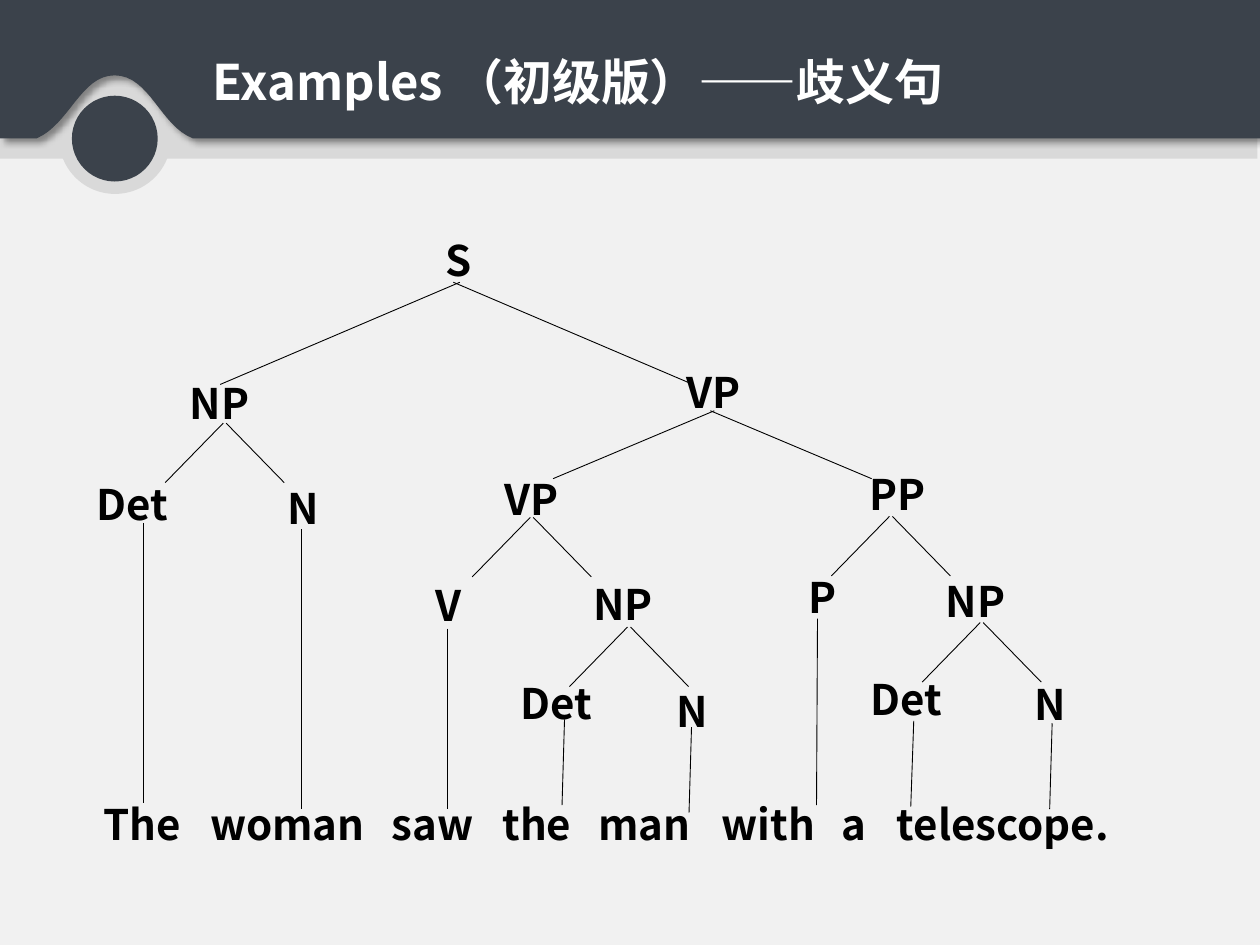
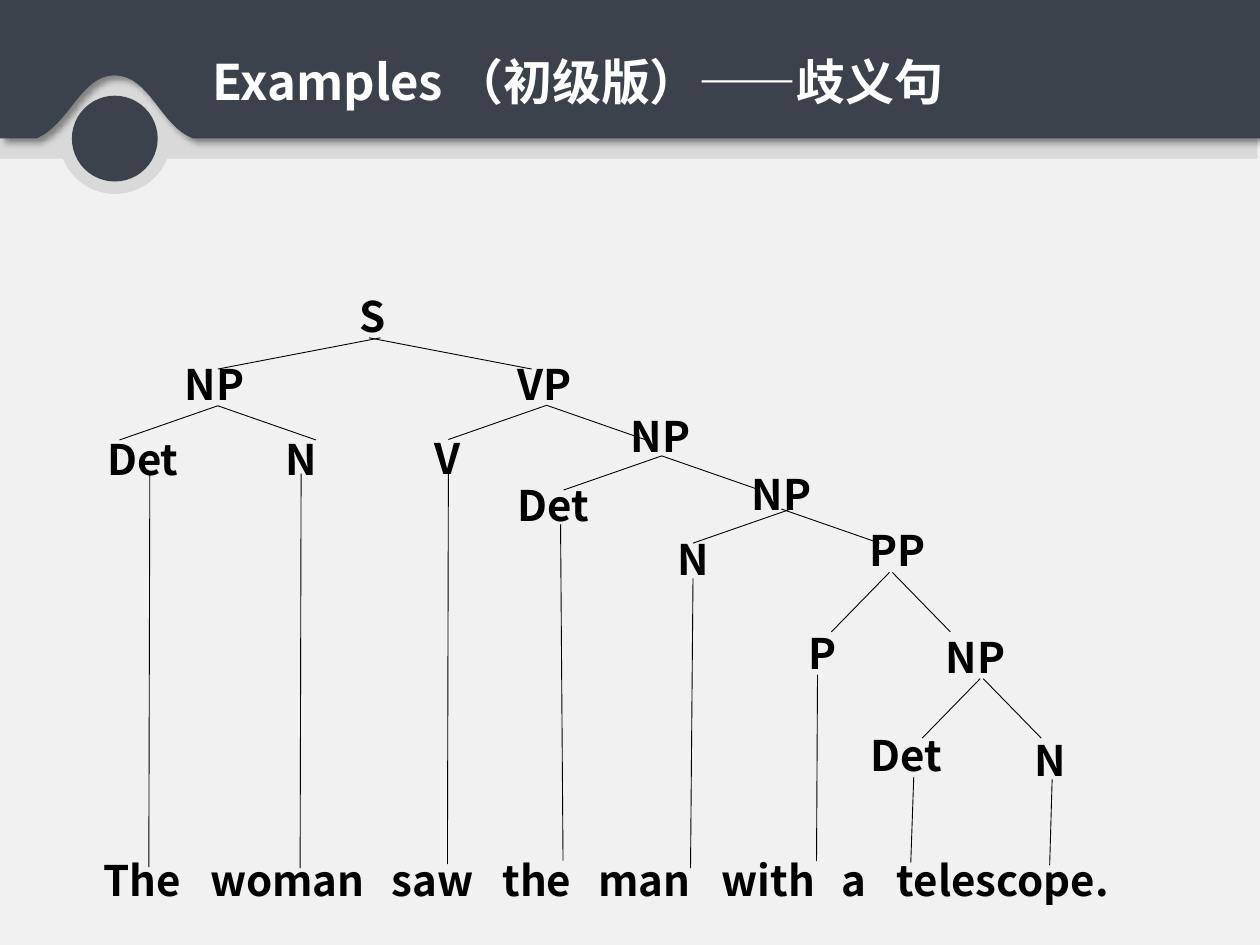
from lxml import etree
from pptx import Presentation
from pptx.dml.color import RGBColor
from pptx.enum import shapes, text
from pptx.oxml import ns
from pptx.util import Cm, Pt

SLATE = RGBColor(0x3B, 0x42, 0x4B)
SILVER = RGBColor(0xD9, 0xD9, 0xD9)
PAPER = RGBColor(0xF1, 0xF1, 0xF1)
WHITE = RGBColor(0xFF, 0xFF, 0xFF)
BLACK = RGBColor(0, 0, 0)

TITLE = "Examples （初级版）——歧义句"
WORDS = ["The", "woman", "saw", "the", "man", "with", "a", "telescope."]
WORD_STOPS = [2.16, 5.82, 8.05, 9.98, 12.47, 14.88, 16]
SENTENCE_TOP = 15.98
DROP = 1.13

# Lengths are centimetres. Labels: name, left, top. Forks: apex x, apex y,
# reach, depth, gap between the two branch tops. Stems: x1, y1, x2, y2.
STEEP = (1.17, 1.2, 0.06)
SHALLOW = (1.98, 0.69)

PREPOSITION_PHRASE = {
    "labels": [("PP", 17.27, 9.32), ("P", 16.05, 11.4), ("NP", 18.82, 11.48),
               ("Det", 17.3, 13.46), ("N", 20.6, 13.56)],
    "forks": [(17.93, 10.41, *STEEP), (19.76, 12.55, *STEEP)],
    "stems": [(16.48, 12.47, 16.46, 16.23), (18.42, 14.53, 18.36, 16.26),
              (21.21, 14.58, 21.16, 16.31)],
}
SEEN_WITH_TELESCOPE = {
    "labels": [("S", 8.74, 4.6), ("NP", 3.58, 7.49), ("Det", 1.7, 9.53),
               ("N", 5.54, 9.6), ("VP", 13.59, 7.26), ("VP", 9.93, 9.42),
               ("V", 8.53, 11.56), ("NP", 11.71, 11.53),
               ("Det", 10.24, 13.54), ("N", 13.39, 13.69)],
    "forks": [(9.27, 5.69, 4.83, 2.06, -0.13), (4.5, 8.53, *STEEP),
              (14.4, 8.28, 3.25, 1.37, -0.08), (10.69, 10.43, *STEEP),
              (12.65, 12.64, *STEEP)],
    "stems": [(2.9, 10.54, 2.9, 16.18), (6.07, 10.67, 6.07, 16.31),
              (9.02, 12.67, 9.02, 16.31), (11.38, 14.5, 11.33, 16.23),
              (13.94, 14.66, 13.89, 16.38)],
}
MAN_WITH_TELESCOPE = {
    "labels": [("S", 6.99, 5.74), ("NP", 3.48, 7.11), ("Det", 1.91, 8.61),
               ("N", 5.51, 8.61), ("VP", 10.19, 7.11), ("V", 8.51, 8.59),
               ("NP", 12.47, 8.15), ("Det", 10.19, 9.55),
               ("NP", 14.91, 9.32), ("N", 13.41, 10.64)],
    "forks": [(7.67, 6.81, 3.28, 0.63, -0.23), (4.39, 8.18, *SHALLOW, 0),
              (11.02, 8.17, *SHALLOW, 0), (13.34, 9.19, *SHALLOW, 0),
              (15.95, 10.26, *SHALLOW, -0.2)],
    "stems": [(3.02, 9.55, 3, 17.48), (6.07, 9.55, 6.05, 17.5),
              (9.04, 9.47, 9.02, 17.42), (11.3, 10.57, 11.35, 17.35),
              (13.97, 11.66, 13.92, 17.5)],
}


def add_element(parent, tag, **attributes):
    return etree.SubElement(parent, ns.qn(tag), attributes)


def write(box, content, size=24, color=BLACK, bold=True, wrap=True,
          font="Noto Sans CJK SC", stops=()):
    frame = box.text_frame
    frame.word_wrap = wrap
    frame.auto_size = text.MSO_AUTO_SIZE.SHAPE_TO_FIT_TEXT
    para = frame.paragraphs[0]
    if stops:
        tabs = add_element(para._p.get_or_add_pPr(), "a:tabLst")
        for stop in stops:
            add_element(tabs, "a:tab", pos=str(Cm(stop)), algn="l")
    span = para.add_run()
    span.text = content
    span.font.size = Pt(size)
    span.font.bold = bold
    span.font.name = font
    span.font.color.rgb = color
    add_element(span._r.get_or_add_rPr(), "a:ea", typeface=font)


def curve(start, first, second, end, steps=16):
    points = []
    for step in range(1, steps + 1):
        t = step / steps
        weights = ((1 - t) ** 3, 3 * t * (1 - t) ** 2, 3 * t * t * (1 - t), t ** 3)
        corners = (start, first, second, end)
        points.append(tuple(sum(w * c[axis] for w, c in zip(weights, corners))
                            for axis in (0, 1)))
    return points


class TreeDeck:
    """Syntax tree slides with one shared look."""

    def __init__(self):
        self.deck = Presentation()
        self.deck.slide_width, self.deck.slide_height = Cm(25.4), Cm(19.05)
        self.page = None

    def start_page(self):
        self.page = self.deck.slides.add_slide(self.deck.slide_layouts[6])
        self.page.background.fill.solid()
        self.page.background.fill.fore_color.rgb = PAPER
        self.shape(shapes.MSO_SHAPE.OVAL, 1.19, 1.65, 2.26, 2.26, SILVER)
        self.shape(shapes.MSO_SHAPE.RECTANGLE, 0, 0.81, 25.35, 2.39, SILVER)
        self.header()
        self.shape(shapes.MSO_SHAPE.OVAL, 1.45, 1.93, 1.73, 1.73, SLATE)
        self.label(TITLE, 4.04, 0.91, 15.67, 1.45, size=28, color=WHITE, wrap=False)

    def paint(self, shape, color):
        shape.shadow.inherit = False
        shape.fill.solid()
        shape.fill.fore_color.rgb = color
        shape.line.fill.background()

    def shape(self, kind, left, top, width, height, color):
        shape = self.page.shapes.add_shape(kind, Cm(left), Cm(top), Cm(width), Cm(height))
        self.paint(shape, color)

    def header(self):
        right, peak, left = (3.89, 2.79), (2.31, 1.52), (0.74, 2.79)
        outline = [(25.4, 2.79), right,
                   *curve(right, (3.23, 2.54), (3.02, 1.52), peak),
                   *curve(peak, (1.63, 1.52), (1.4, 2.51), left),
                   (0, 2.79), (0, 0)]
        builder = self.page.shapes.build_freeform(Cm(25.4), 0)
        builder.add_line_segments([(Cm(x), Cm(y)) for x, y in outline])
        band = builder.convert_to_shape()
        self.paint(band, SLATE)
        effects = band._element.spPr.find(ns.qn("a:effectLst"))
        shadow = add_element(effects, "a:outerShdw", blurRad=str(Pt(4)),
                             dist=str(Pt(3)), dir="2700000", rotWithShape="0")
        color = add_element(shadow, "a:srgbClr", val=str(BLACK))
        add_element(color, "a:alpha", val="40000")

    def label(self, content, left, top, width=3.96, height=1.27, **style):
        box = self.page.shapes.add_textbox(Cm(left), Cm(top), Cm(width), Cm(height))
        write(box, content, **style)

    def line(self, x1, y1, x2, y2):
        line = self.page.shapes.add_connector(
            shapes.MSO_CONNECTOR.STRAIGHT, Cm(x1), Cm(y1), Cm(x2), Cm(y2))
        line.line.color.rgb = BLACK
        line.line.width = Pt(0.5)
        add_element(line._element.spPr, "a:effectLst")

    def fork(self, x, y, reach, depth, gap):
        self.line(x - reach, y + depth, x, y)
        self.line(x + gap + reach, y + depth, x + gap, y)

    def tree(self, parts, drop=0):
        for x1, y1, x2, y2 in parts["stems"]:
            self.line(x1, y1 + drop, x2, y2 + drop)
        for x, y, *spread in parts["forks"]:
            self.fork(x, y + drop, *spread)
        for name, left, top in parts["labels"]:
            self.label(name, left, top + drop)

    def sentence(self, drop):
        self.label("\t".join(WORDS), 1.83, SENTENCE_TOP + drop, 22.96, stops=WORD_STOPS)


def main():
    slides = TreeDeck()
    for reading, drop in ((SEEN_WITH_TELESCOPE, 0), (MAN_WITH_TELESCOPE, DROP)):
        slides.start_page()
        slides.sentence(drop)
        slides.tree(PREPOSITION_PHRASE, drop)
        slides.tree(reading)
    slides.deck.save("out.pptx")


if __name__ == "__main__":
    main()
